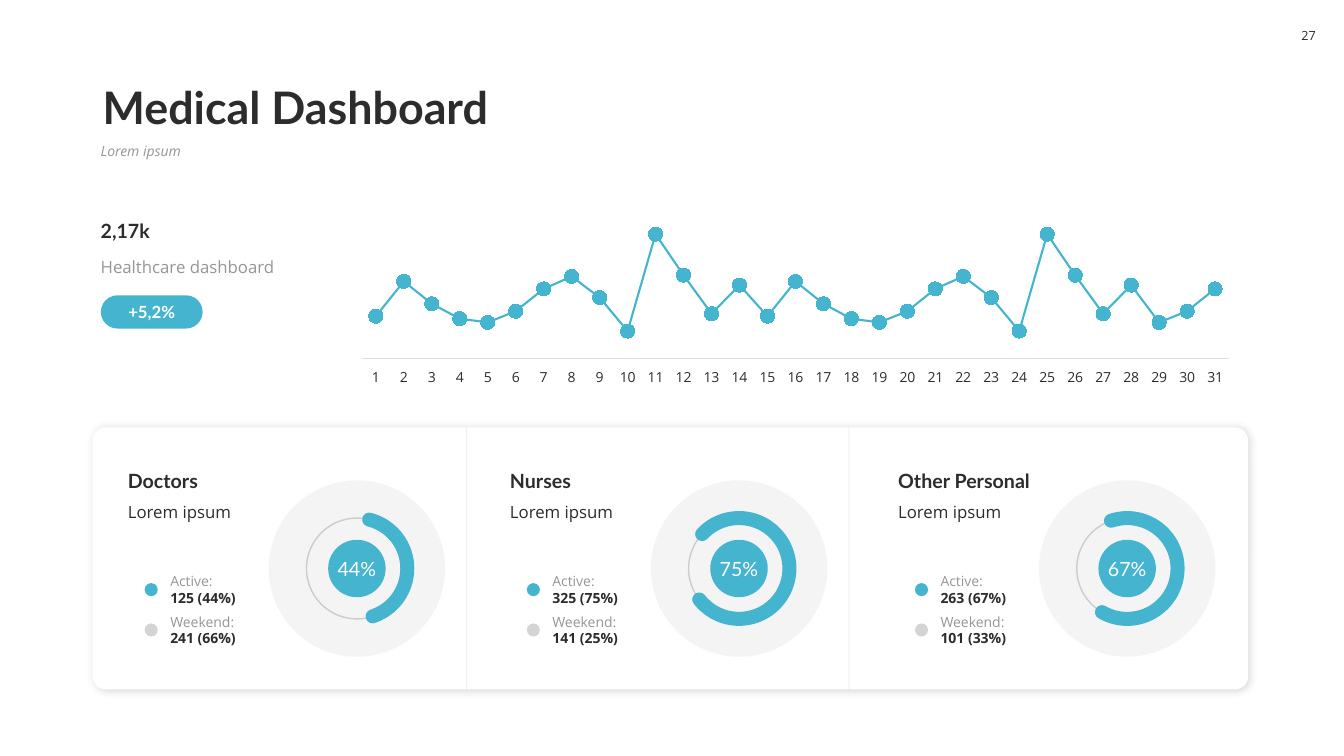
from lxml import etree
from pptx import Presentation
from pptx.chart.data import CategoryChartData
from pptx.dml.color import RGBColor
from pptx.enum.chart import XL_CHART_TYPE as ChartType, XL_MARKER_STYLE as Marker
from pptx.enum.chart import XL_TICK_LABEL_POSITION as LabelPosition, XL_TICK_MARK as TickMark
from pptx.enum.shapes import MSO_CONNECTOR as Connector, MSO_SHAPE as Shape
from pptx.enum.text import MSO_ANCHOR as Anchor, PP_ALIGN as Align
from pptx.oxml import parse_xml
from pptx.oxml.ns import nsdecls, qn
from pptx.util import Inches, Pt

COLORS = {"accent": "45B5CF", "dark": "2C2C2C", "gray": "969696",
          "axis": "DFDFDF", "white": "FFFFFF"}
HEADING, BODY = "Lato", "Open Sans"


def color(name):
    return RGBColor.from_string(COLORS[name])


def set_alpha(fill_parent, percent):
    """Make the solid color under an element partly transparent."""
    if percent < 100:
        solid = fill_parent.find(qn("a:solidFill"))
        etree.SubElement(solid[0], qn("a:alpha")).set("val", str(percent * 1000))


class Dashboard:
    def __init__(self, slide):
        self.slide = slide

    def fill_text(self, shape, lines, align=Align.LEFT, anchor=Anchor.TOP, spacing=None):
        """Each line is (text, font, size, color, bold)."""
        frame = shape.text_frame
        frame.word_wrap = True
        frame.vertical_anchor = anchor
        frame.text = "\n".join(line[0] for line in lines)
        for paragraph, (_, font_name, size, tone, bold) in zip(frame.paragraphs, lines):
            paragraph.alignment = align
            paragraph.line_spacing = spacing
            font = paragraph.runs[0].font
            font.name, font.size, font.bold = font_name, Pt(size), bold
            font.color.rgb = color(tone)
        return frame

    def text(self, left, top, width, height, *lines, **layout):
        box = self.slide.shapes.add_textbox(
            Inches(left), Inches(top), Inches(width), Inches(height))
        return self.fill_text(box, lines, **layout)

    def shape(self, kind, left, top, width, height, fill=None, alpha=100, adjust=()):
        shape = self.slide.shapes.add_shape(
            kind, Inches(left), Inches(top), Inches(width), Inches(height))
        shape.shadow.inherit = False
        shape.line.fill.background()
        if fill:
            shape.fill.solid()
            shape.fill.fore_color.rgb = color(fill)
            set_alpha(shape._element.spPr, alpha)
        else:
            shape.fill.background()
        for index, value in enumerate(adjust):
            shape.adjustments[index] = value
        return shape

    def circle(self, center_x, center_y, size, fill=None, alpha=100):
        return self.shape(Shape.OVAL, center_x - size / 2, center_y - size / 2,
                          size, size, fill, alpha)

    def label(self, shape, text, font, size, tone="white", bold=False):
        frame = self.fill_text(shape, [(text, font, size, tone, bold)],
                               Align.CENTER, Anchor.MIDDLE)
        frame.margin_left = frame.margin_right = 0
        frame.margin_top = frame.margin_bottom = 0
        frame.word_wrap = False

    def outline(self, shape, tone, width, alpha=100):
        shape.line.color.rgb = color(tone)
        shape.line.width = Pt(width)
        line = shape._element.spPr.find(qn("a:ln"))
        set_alpha(line, alpha)
        return line

    def arc(self, center_x, center_y, size, start, end, tone, width):
        """Angles are clockwise degrees from three o'clock."""
        arc = self.shape(Shape.ARC, center_x - size / 2, center_y - size / 2, size, size,
                         adjust=(start * 0.6, end * 0.6))
        self.outline(arc, tone, width).set("cap", "rnd")

    def divider(self, x, top, bottom):
        line = self.slide.shapes.add_connector(
            Connector.STRAIGHT, Inches(x), Inches(bottom), Inches(x), Inches(top))
        self.outline(line, "dark", 0.5, 10)
        etree.SubElement(line._element.spPr, qn("a:effectLst"))

    def soft_shadow(self, shape):
        effects = shape._element.spPr.find(qn("a:effectLst"))
        effects.append(parse_xml(
            f'<a:outerShdw {nsdecls("a")} blurRad="{Pt(6)}" dist="{Pt(1)}" dir="2700000" '
            'algn="tl" rotWithShape="0"><a:srgbClr val="000000">'
            '<a:alpha val="15000"/></a:srgbClr></a:outerShdw>'))

    def line_chart(self, left, top, width, height, values):
        data = CategoryChartData()
        data.categories = [str(day) for day in range(1, len(values) + 1)]
        data.add_series("Series 1", values)
        chart = self.slide.shapes.add_chart(
            ChartType.LINE_MARKERS_STACKED, Inches(left), Inches(top),
            Inches(width), Inches(height), data).chart
        chart.has_legend = chart.has_title = False
        chart.font.name, chart.font.size = BODY, Pt(10)
        chart.font.color.rgb = color("dark")

        days, scale = chart.category_axis, chart.value_axis
        days.major_tick_mark = days.minor_tick_mark = TickMark.NONE
        days.tick_label_position = LabelPosition.LOW
        days.has_major_gridlines = False
        days.format.line.color.rgb = color("axis")
        days.format.line.width = Pt(0.75)
        scale.visible = scale.has_major_gridlines = False
        scale.minimum_scale, scale.maximum_scale = 0, 120

        plot = chart.plots[0]
        plot.vary_by_categories = False
        series = plot.series[0]
        series.smooth = False
        series.format.line.color.rgb = color("accent")
        series.format.line.width = Pt(1.5)
        marker = series.marker
        marker.style, marker.size = Marker.CIRCLE, 10
        marker.format.fill.solid()
        marker.format.fill.fore_color.rgb = color("accent")
        marker.format.line.color.rgb = color("accent")

        # Fixed inner plot area
        plot_area = chart._chartSpace.chart.plotArea
        for old in plot_area.findall(qn("c:layout")):
            plot_area.remove(old)
        places = "".join(f'<c:{key} val="{value}"/>' for key, value in (
            ("layoutTarget", "inner"), ("xMode", "edge"), ("yMode", "edge"),
            ("x", 0.02), ("y", 0.01), ("w", 0.96), ("h", 0.84)))
        plot_area.insert(0, parse_xml(
            f'<c:layout {nsdecls("c")}><c:manualLayout>{places}</c:manualLayout></c:layout>'))

    def staff_card(self, left, name, share, start, end, active, weekend):
        center_x, center_y = left + 2.37, 5.64
        # Ring
        self.circle(center_x, center_y, 1.75, "dark", 5)
        self.outline(self.circle(center_x, center_y, 1), "dark", 1, 20)
        # Headings
        self.text(left, 4.59, 2.86, 0.34, (name, HEADING, 14, "dark", True),
                  anchor=Anchor.BOTTOM)
        self.text(left, 4.93, 2.86, 0.3, ("Lorem ipsum", BODY, 12, "dark", False))
        # Share
        hub = self.circle(center_x, center_y, 0.57, "accent")
        self.label(hub, share, HEADING, 14)
        self.arc(center_x, center_y, 1, start, end, "accent", 10)
        # Legend
        entries = (("Active:", active, "accent", 100), ("Weekend:", weekend, "dark", 20))
        for row, (caption, amount, tone, alpha) in enumerate(entries):
            middle = 5.85 + 0.4 * row
            self.circle(left + 0.33, middle, 0.13, tone, alpha)
            self.text(left + 0.42, middle - 0.22, 1.18, 0.44,
                      (caption, BODY, 10, "gray", False),
                      (amount, BODY, 10, "dark", True), anchor=Anchor.MIDDLE)


def main():
    presentation = Presentation()
    presentation.slide_width, presentation.slide_height = Inches(13.33), Inches(7.5)
    board = Dashboard(presentation.slides.add_slide(presentation.slide_layouts[6]))

    # Title and page number
    board.text(0.92, 0.58, 11.5, 0.8, ("Medical Dashboard", HEADING, 32, "dark", True),
               anchor=Anchor.BOTTOM, spacing=0.9)
    subtitle = board.text(0.9, 1.38, 11.52, 0.36,
                          ("Lorem ipsum", BODY, 10, "gray", False), spacing=0.9)
    subtitle.paragraphs[0].runs[0].font.italic = True
    page = board.shape(Shape.ROUNDED_RECTANGLE, 12.8, 0.18, 0.36, 0.35, "white",
                       adjust=[0.27])
    board.label(page, "27", BODY, 9, "dark")

    # Monthly trend
    fortnight = [34, 62, 44, 32, 29, 38, 56, 66, 49, 22, 100, 67, 36, 59]
    board.line_chart(3.41, 2.06, 8.96, 1.78, fortnight * 2 + [29, 38, 56])

    # Key figure
    board.text(0.9, 2.11, 2.13, 0.34, ("2,17k", HEADING, 14, "dark", True),
               anchor=Anchor.BOTTOM)
    board.text(0.9, 2.5, 2.13, 0.3, ("Healthcare dashboard", BODY, 12, "gray", False))
    growth = board.shape(Shape.ROUNDED_RECTANGLE, 1, 2.93, 1.01, 0.33, "accent",
                         adjust=[0.5])
    board.label(growth, "+5,2%", HEADING, 12, bold=True)

    # Staff panel
    top, height = 4.24, 2.6
    panel = board.shape(Shape.ROUNDED_RECTANGLE, 0.92, top, 11.46, height, "white",
                        adjust=[0.05])
    board.soft_shadow(panel)
    for x in (4.63, 8.42):
        board.divider(x, top, top + height)
    board.staff_card(1.17, "Doctors", "44%", 284.17, 71.77, "125 (44%)", "241 (66%)")
    board.staff_card(4.96, "Nurses", "75%", 223.06, 142.01, "325 (75%)", "141 (25%)")
    board.staff_card(8.81, "Other Personal", "67%", 251.29, 120.02,
                     "263 (67%)", "101 (33%)")

    presentation.save("out.pptx")


if __name__ == "__main__":
    main()
